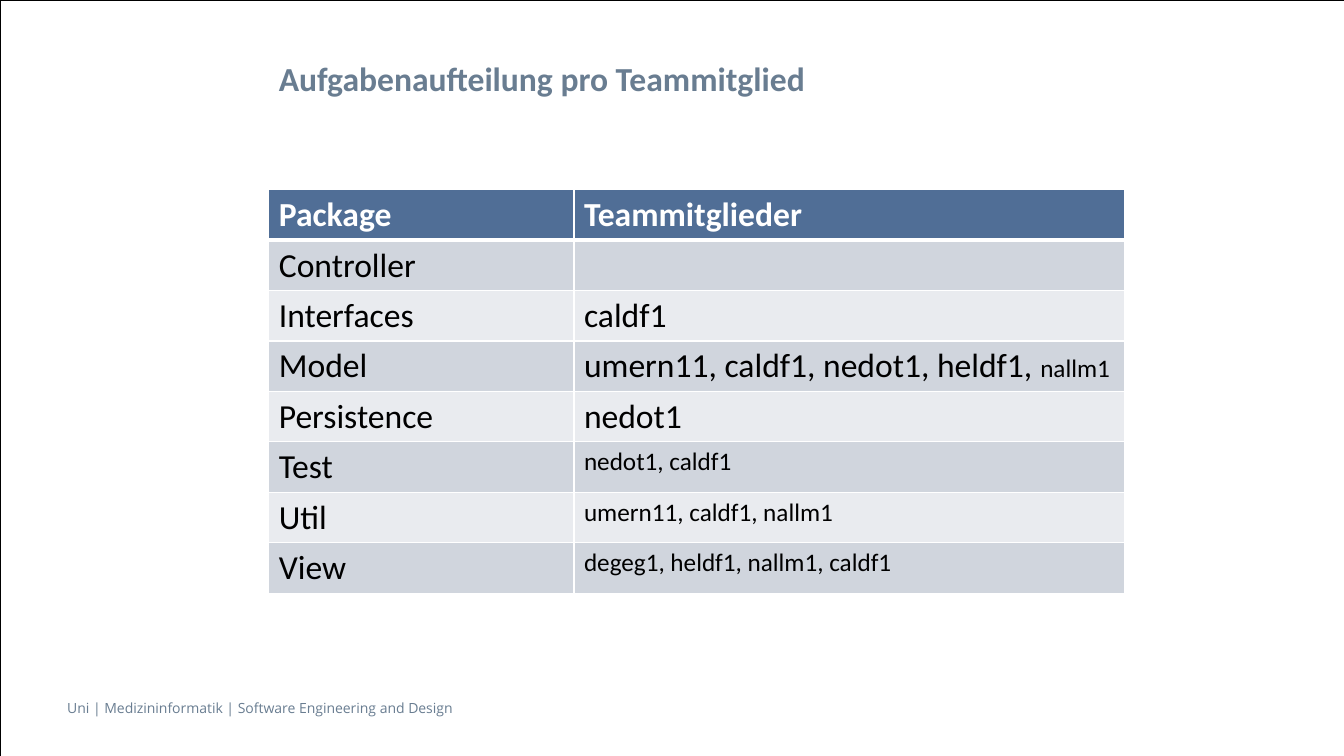
from dataclasses import dataclass

from lxml import etree
from pptx import Presentation
from pptx.dml.color import RGBColor as RGB
from pptx.enum.shapes import MSO_SHAPE as Shape
from pptx.enum.text import MSO_ANCHOR as Anchor, MSO_AUTO_SIZE as Fit, PP_ALIGN as Align
from pptx.oxml.ns import qn
from pptx.util import Pt


@dataclass(frozen=True)
class Theme:
    slate: str = "697D91"
    head: str = "506E96"
    bands: tuple = ("E9EBEF", "D0D5DD")
    white: str = "FFFFFF"
    black: str = "000000"
    font: str = "Calibri"
    foot: str = "Open Sans"
    big: int = 24
    mid: int = 18
    small: int = 10


theme = Theme()


def style(run, size, color, bold=False, face=theme.font):
    font = run.font
    font.name, font.size, font.bold = face, Pt(size), bold
    font.color.rgb = RGB.from_string(color)


def edge(cell, widths):
    """Give a cell white borders; widths are left, right, top, bottom in points."""
    props = cell._tc.get_or_add_tcPr()
    for i, (side, width) in enumerate(zip("LRTB", widths)):
        line = etree.Element(qn(f"a:ln{side}"), w=str(Pt(width)))
        fill = etree.SubElement(line, qn("a:solidFill"))
        etree.SubElement(fill, qn("a:srgbClr"), val=theme.white)
        props.insert(i, line)


deck = Presentation()
deck.slide_width, deck.slide_height = Pt(960), Pt(540)
slide = deck.slides.add_slide(deck.slide_layouts[5])
shapes = slide.shapes

# Footer
foot = shapes.add_textbox(Pt(48), Pt(496), Pt(702), Pt(19.5))
frame = foot.text_frame
frame.word_wrap = True
frame.margin_left = frame.margin_right = 0
frame.text = "Uni | Medizininformatik | Software Engineering and Design"
style(frame.paragraphs[0].runs[0], theme.small, theme.slate, face=theme.foot)

# Slide outline
border = shapes.add_shape(Shape.RECTANGLE, 0, 0, Pt(960), Pt(540))
border.shadow.inherit = False
border.fill.background()
border.line.color.rgb = RGB.from_string(theme.black)
border.line.width = Pt(0.5)

# Title
title = shapes.title
title.left, title.top, title.width, title.height = Pt(192), Pt(37.5), Pt(394.5), Pt(36)
frame = title.text_frame
frame.text = "Aufgabenaufteilung pro Teammitglied"
frame.word_wrap = False
frame.auto_size = Fit.SHAPE_TO_FIT_TEXT
frame.vertical_anchor = Anchor.TOP
frame.paragraphs[0].alignment = Align.LEFT
style(frame.paragraphs[0].runs[0], theme.big, theme.slate, bold=True)

# Table: package, members in large type, members in smaller type
rows = [
    ("Package", "Teammitglieder", ""),
    ("Controller", "", ""),
    ("Interfaces", "caldf1", ""),
    ("Model", "umern11, caldf1, nedot1, heldf1, ", "nallm1"),
    ("Persistence", "nedot1", ""),
    ("Test", "", "nedot1, caldf1"),
    ("Util", "", "umern11, caldf1, nallm1"),
    ("View", "", "degeg1, heldf1, nallm1, caldf1"),
]
high = 29.2
grid = shapes.add_table(len(rows), 2, Pt(192), Pt(135.5), Pt(611), Pt(high * len(rows))).table
for col, width in zip(grid.columns, (218, 393)):
    col.width = Pt(width)

for r, (package, large, less) in enumerate(rows):
    grid.rows[r].height = Pt(high)
    top = r == 0
    color = theme.white if top else theme.black
    back = theme.head if top else theme.bands[r % 2]
    parts = [[(package, theme.big)], [(large, theme.big), (less, theme.mid)]]
    for c, runs in enumerate(parts):
        cell = grid.cell(r, c)
        cell.fill.solid()
        cell.fill.fore_color.rgb = RGB.from_string(back)
        edge(cell, (1, 1, 3 if r == 1 else 1, 3 if top else 1))
        for text, size in runs:
            if text:
                run = cell.text_frame.paragraphs[0].add_run()
                run.text = text
                style(run, size, color, bold=top)

deck.save("out.pptx")
